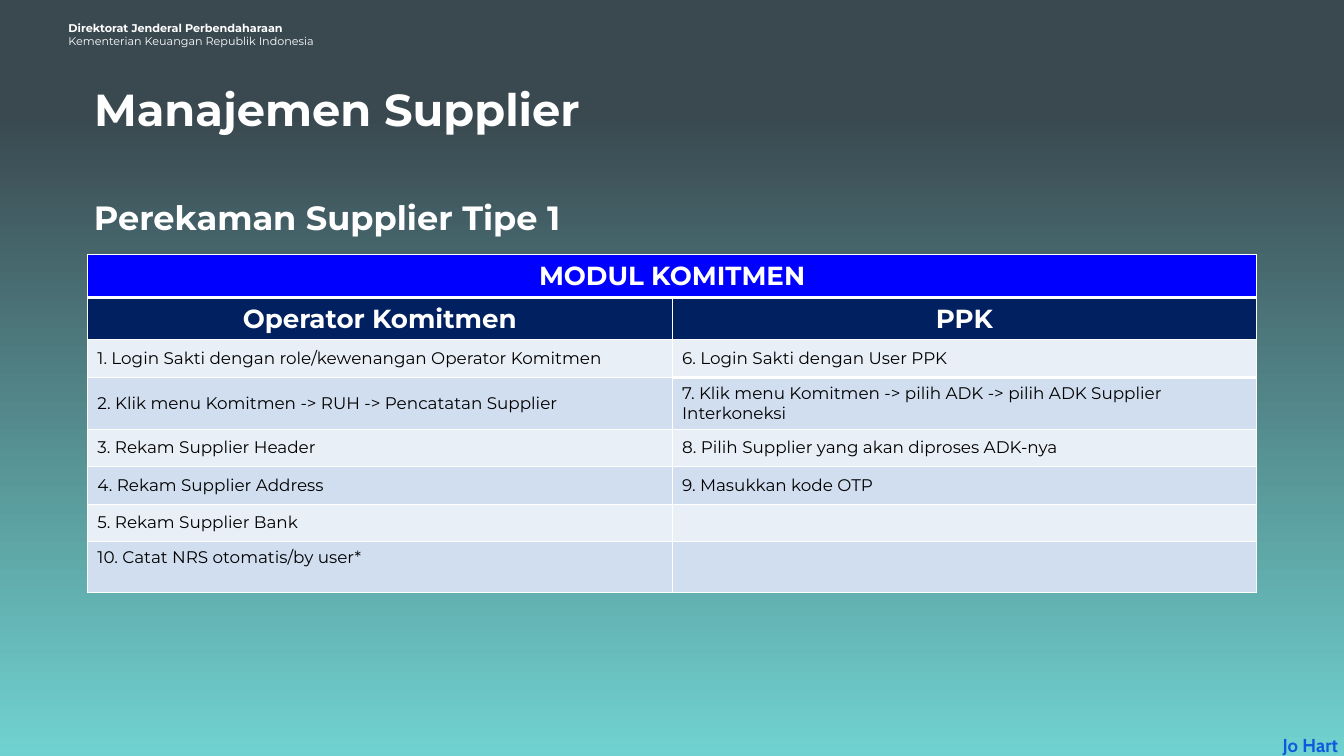
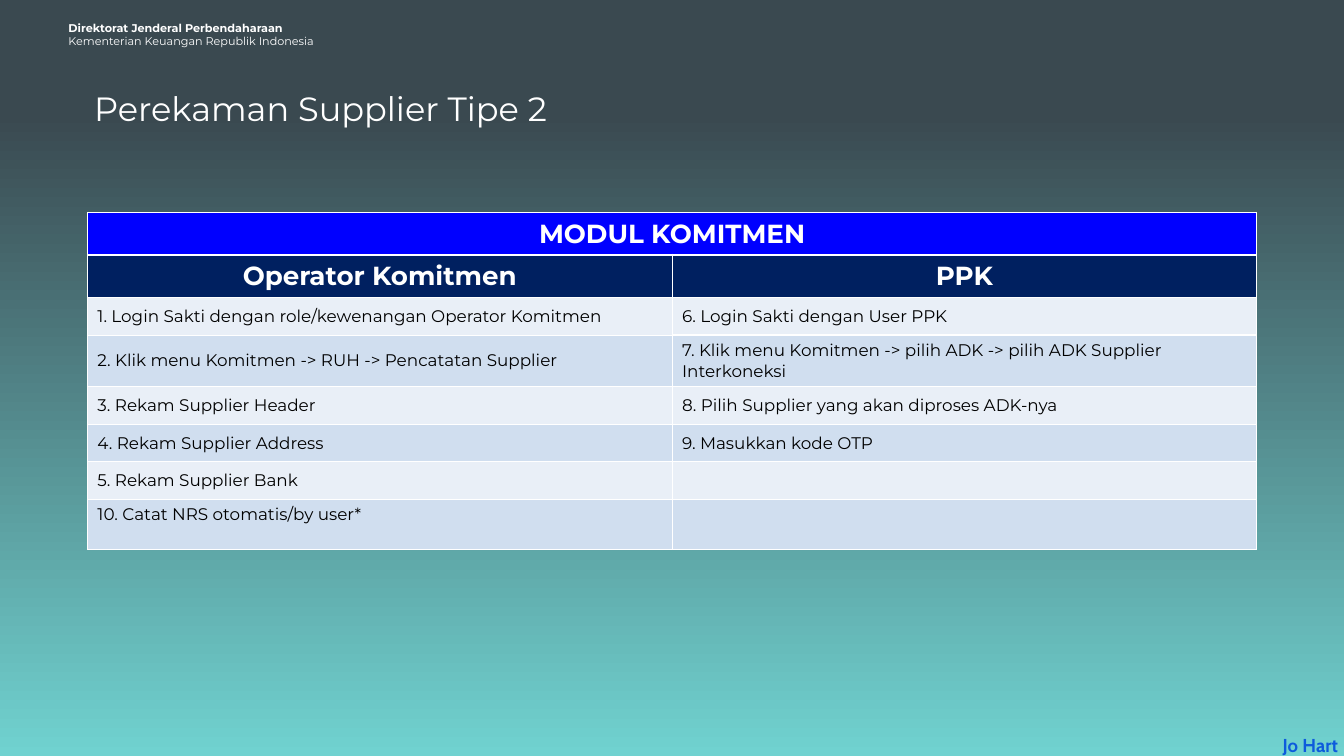
"""Build the two supplier recording slides with their shared header, footer and step table."""
from lxml import etree
from pptx import Presentation
from pptx import util as u
from pptx.dml import color
from pptx.enum import text
from pptx.oxml import ns

Pt = u.Pt
COLOURS = {
    "dusk": "3A4950", "lagoon": "70D2D0", "white": "FFFFFF", "black": "000000",
    "presenter": "0D5BDC", "module": "0000FF", "role": "002060",
    "light": "E9EFF7", "tint": "D0DEEF",
}
FONT = "Montserrat"
MARGIN, COLUMN = 93.6, 626.4
ROW_HEIGHTS = [44.6, 44.6, 40.2, 54, 40.2, 40.2, 40.2, 54]
MODULE = "MODUL KOMITMEN"
ROLES = ("Operator Komitmen", "PPK")
STEPS = [
    ("1. Login Sakti dengan role/kewenangan Operator Komitmen", "6. Login Sakti dengan User PPK"),
    ("2. Klik menu Komitmen -> RUH -> Pencatatan Supplier",
     "7. Klik menu Komitmen -> pilih ADK -> pilih ADK Supplier Interkoneksi"),
    ("3. Rekam Supplier Header", "8. Pilih Supplier yang akan diproses ADK-nya"),
    ("4. Rekam Supplier Address", "9. Masukkan kode OTP"),
    ("5. Rekam Supplier Bank", ""),
    ("10. Catat NRS otomatis/by user*", ""),
]
THICK_EDGES = {(0, 0): "B", (0, 1): "B", (2, 1): "B", (3, 1): "T"}


def rgb(name):
    return color.RGBColor.from_string(COLOURS[name])


def style(paragraph, size, colour="white", bold=False, align=text.PP_ALIGN.LEFT, font=FONT):
    paragraph.alignment = align
    paragraph.font.name = font
    paragraph.font.size = Pt(size)
    paragraph.font.bold = bold
    paragraph.font.color.rgb = rgb(colour)


def set_insets(holder, horizontal, vertical):
    holder.margin_left = holder.margin_right = Pt(horizontal)
    holder.margin_top = holder.margin_bottom = Pt(vertical)


def add_text(slide, lines, left, top, width, height, insets=(7.2, 3.6), wrap=True):
    box = slide.shapes.add_textbox(Pt(left), Pt(top), Pt(width), Pt(height))
    frame = box.text_frame
    frame.word_wrap = wrap
    set_insets(frame, *insets)
    frame.text = "\n".join(lines)
    return box


def set_title(slide, wording, top, width, height, size, bold):
    title = slide.shapes.title
    title.left, title.top, title.width, title.height = Pt(MARGIN), Pt(top), Pt(width), Pt(height)
    frame = title.text_frame
    frame.text = wording
    frame.auto_size = text.MSO_AUTO_SIZE.NONE
    frame.vertical_anchor = text.MSO_ANCHOR.TOP
    set_insets(frame, 7.2, 7.2)
    style(frame.paragraphs[0], size, bold=bold)


def set_borders(cell, thick_edge):
    properties = cell._tc.get_or_add_tcPr()
    for edge in "LRTB":
        width = Pt(3 if edge == thick_edge else 1)
        line = etree.SubElement(properties, ns.qn(f"a:ln{edge}"), w=str(width))
        fill = etree.SubElement(line, ns.qn("a:solidFill"))
        etree.SubElement(fill, ns.qn("a:srgbClr"), val=COLOURS["white"])


def add_step_table(slide, top):
    rows = [(MODULE, ""), ROLES, *STEPS]
    table = slide.shapes.add_table(
        len(rows), 2, Pt(MARGIN), Pt(top), Pt(2 * COLUMN), Pt(sum(ROW_HEIGHTS))).table
    table.first_row = table.horz_banding = False
    for column in table.columns:
        column.width = Pt(COLUMN)
    for r, wordings in enumerate(rows):
        table.rows[r].height = Pt(ROW_HEIGHTS[r])
        heading = r < 2
        fill = ("module", "role")[r] if heading else ("light", "tint")[r % 2]
        for c, wording in enumerate(wordings):
            cell = table.cell(r, c)
            set_borders(cell, THICK_EDGES.get((r, c)))
            cell.fill.solid()
            cell.fill.fore_color.rgb = rgb(fill)
            set_insets(cell, 10.8, 5.76)
            last = r == len(rows) - 1
            cell.vertical_anchor = text.MSO_ANCHOR.TOP if last else text.MSO_ANCHOR.MIDDLE
            if wording:
                cell.text = wording
                paragraph = cell.text_frame.paragraphs[0]
                if heading:
                    style(paragraph, 28, bold=True, align=text.PP_ALIGN.CENTER)
                else:
                    style(paragraph, 18, "black")
    table.cell(0, 0).merge(table.cell(0, 1))


def build_master(master, slide):
    fill = master.background.fill
    fill.gradient()
    fill.gradient_angle = 270
    for stop, position, name in zip(fill.gradient_stops, (0.15, 1), ("dusk", "lagoon")):
        stop.position = position
        stop.color.rgb = rgb(name)
    office = add_text(
        slide, ["Direktorat Jenderal Perbendaharaan", "Kementerian Keuangan Republik Indonesia"],
        59, 7.9, 501, 58.3, insets=(14.4, 14.4))
    for paragraph, bold in zip(office.text_frame.paragraphs, (True, False)):
        style(paragraph, 12, bold=bold)
    presenter = add_text(slide, ["Jo Hart"], 1355.8, 782.6, 96.5, 32.4)
    style(presenter.text_frame.paragraphs[0], 20, "presenter", True,
          text.PP_ALIGN.CENTER, "Cabin")
    next_id = max(shape.shape_id for shape in master.shapes) + 1
    for offset, shared in enumerate((office, presenter)):
        shared.element.nvSpPr.cNvPr.set("id", str(next_id + offset))
        master.shapes.element.append(shared.element)


def main():
    deck = Presentation()
    deck.slide_width, deck.slide_height = Pt(1440), Pt(810)
    title_only = deck.slide_layouts[5]
    type_one, type_two = (deck.slides.add_slide(title_only) for _ in range(2))
    build_master(deck.slide_master, type_one)

    set_title(type_one, "Manajemen Supplier", 80.6, 769, 72.7, 48, True)
    add_step_table(type_one, 272.9)
    subtitle = add_text(type_one, ["Perekaman Supplier Tipe 1"],
                        MARGIN, 207.4, 520.6, 51.1, wrap=False)
    style(subtitle.text_frame.paragraphs[0], 36, bold=True)

    set_title(type_two, "Perekaman Supplier Tipe 2", 87.1, 586.8, 58.3, 36, False)
    add_step_table(type_two, 227.5)
    deck.save("out.pptx")


if __name__ == "__main__":
    main()
